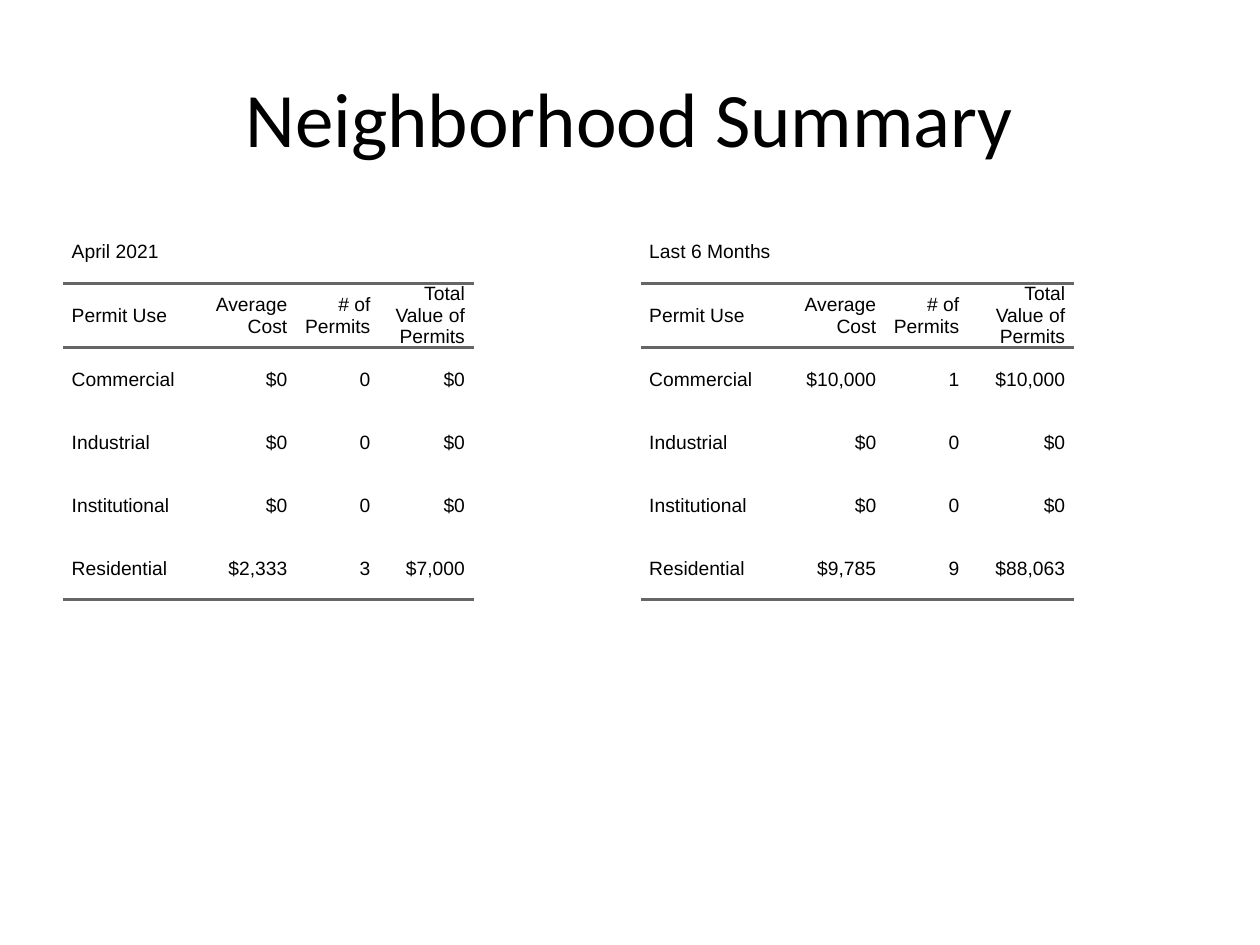
from dataclasses import dataclass

from pptx import Presentation
from pptx.dml.color import RGBColor
from pptx.enum.text import MSO_ANCHOR, PP_ALIGN
from pptx.oxml.ns import qn
from pptx.util import Pt
from lxml.etree import SubElement


@dataclass(frozen=True)
class Theme:
    ink: str = "000000"
    rule: str = "666666"
    title_font: str = "Calibri"
    table_font: str = "Arial"
    title_size: float = 44
    table_size: float = 11
    rule_width: float = 2
    cell_indent: float = 5
    plain_table_style: str = "{2D5ABB26-0587-4C30-8999-92F81FD0307C}"


@dataclass(frozen=True)
class PermitTable:
    period: str
    left: float
    column_widths: tuple[float, ...]
    rows: tuple[tuple[str, ...], ...]


THEME = Theme()
TABLE_TOP, TABLE_WIDTH, TABLE_HEIGHT, ROW_HEIGHT = 126, 318, 356.4, 36
HEADINGS = ("Permit Use", "Average Cost", "# of Permits", "Total Value of Permits")

PERMIT_TABLES = (
    PermitTable("April 2021", 36, (79.2, 54, 47.5, 54), (
        ("Commercial", "$0", "0", "$0"),
        ("Industrial", "$0", "0", "$0"),
        ("Institutional", "$0", "0", "$0"),
        ("Residential", "$2,333", "3", "$7,000"),
    )),
    PermitTable("Last 6 Months", 366, (79.2, 60.5, 47.5, 60.5), (
        ("Commercial", "$10,000", "1", "$10,000"),
        ("Industrial", "$0", "0", "$0"),
        ("Institutional", "$0", "0", "$0"),
        ("Residential", "$9,785", "9", "$88,063"),
    )),
)


def set_values(target: object, values: dict) -> None:
    for name, value in values.items():
        setattr(target, name, value)


def format_font(font, name: str, size: float) -> None:
    set_values(font, {"name": name, "size": Pt(size), "bold": False})
    font.color.rgb = RGBColor.from_string(THEME.ink)


def add_border(cell, edge: str) -> None:
    line = SubElement(cell._tc.get_or_add_tcPr(), qn(f"a:{edge}"), w=str(Pt(THEME.rule_width)))
    fill = SubElement(line, qn("a:solidFill"))
    SubElement(fill, qn("a:srgbClr"), val=THEME.rule)


def fill_cell(cell, text: str, align: PP_ALIGN, edges: tuple[str, ...]) -> None:
    margins = ("margin_left", "margin_right", "margin_top", "margin_bottom")
    set_values(cell, {"vertical_anchor": MSO_ANCHOR.MIDDLE, **dict.fromkeys(margins, 0)})
    for edge in edges:
        add_border(cell, edge)
    cell.fill.background()
    para = cell.text_frame.paragraphs[0]
    para.alignment = align
    for side in ("marL", "marR"):
        para._p.get_or_add_pPr().set(side, str(Pt(THEME.cell_indent)))
    if text:
        span = para.add_run()
        span.text = text
        format_font(span.font, THEME.table_font, THEME.table_size)


def draw_permit_table(page, permits: PermitTable) -> None:
    caption = (permits.period,) + ("",) * (len(HEADINGS) - 1)
    grid = (caption, HEADINGS, *permits.rows)
    size = {"width": Pt(TABLE_WIDTH), "height": Pt(TABLE_HEIGHT)}
    frame = page.shapes.add_table(
        len(grid), len(HEADINGS), Pt(permits.left), Pt(TABLE_TOP), **size)
    table = frame.table
    set_values(table, {"first_row": False, "horz_banding": False})
    table._tbl.tblPr.find(qn("a:tableStyleId")).text = THEME.plain_table_style
    for column, width in zip(table.columns, permits.column_widths):
        column.width = Pt(width)
    for row in table.rows:
        row.height = Pt(ROW_HEIGHT)
    set_values(frame, size)
    table.cell(0, 0).merge(table.cell(0, len(HEADINGS) - 1))
    borders = {1: ("lnT", "lnB"), len(grid) - 1: ("lnB",)}
    for row_index, texts in enumerate(grid):
        for column_index, text in enumerate(texts):
            align = PP_ALIGN.RIGHT if column_index else PP_ALIGN.LEFT
            fill_cell(table.cell(row_index, column_index), text, align,
                      borders.get(row_index, ()))


def draw_title(page, text: str) -> None:
    title = page.shapes.title
    set_values(title, {"left": Pt(36), "top": Pt(21.6), "width": Pt(648), "height": Pt(90)})
    title.text_frame.text = text
    title.text_frame.vertical_anchor = MSO_ANCHOR.MIDDLE
    para = title.text_frame.paragraphs[0]
    para.alignment = PP_ALIGN.CENTER
    format_font(para.runs[0].font, THEME.title_font, THEME.title_size)


def main() -> None:
    deck = Presentation()
    set_values(deck, {"slide_width": Pt(720), "slide_height": Pt(540)})
    page = deck.slides.add_slide(deck.slide_layouts.get_by_name("Title Only"))
    draw_title(page, "Neighborhood Summary")
    for permits in PERMIT_TABLES:
        draw_permit_table(page, permits)
    deck.save("out.pptx")


if __name__ == "__main__":
    main()
